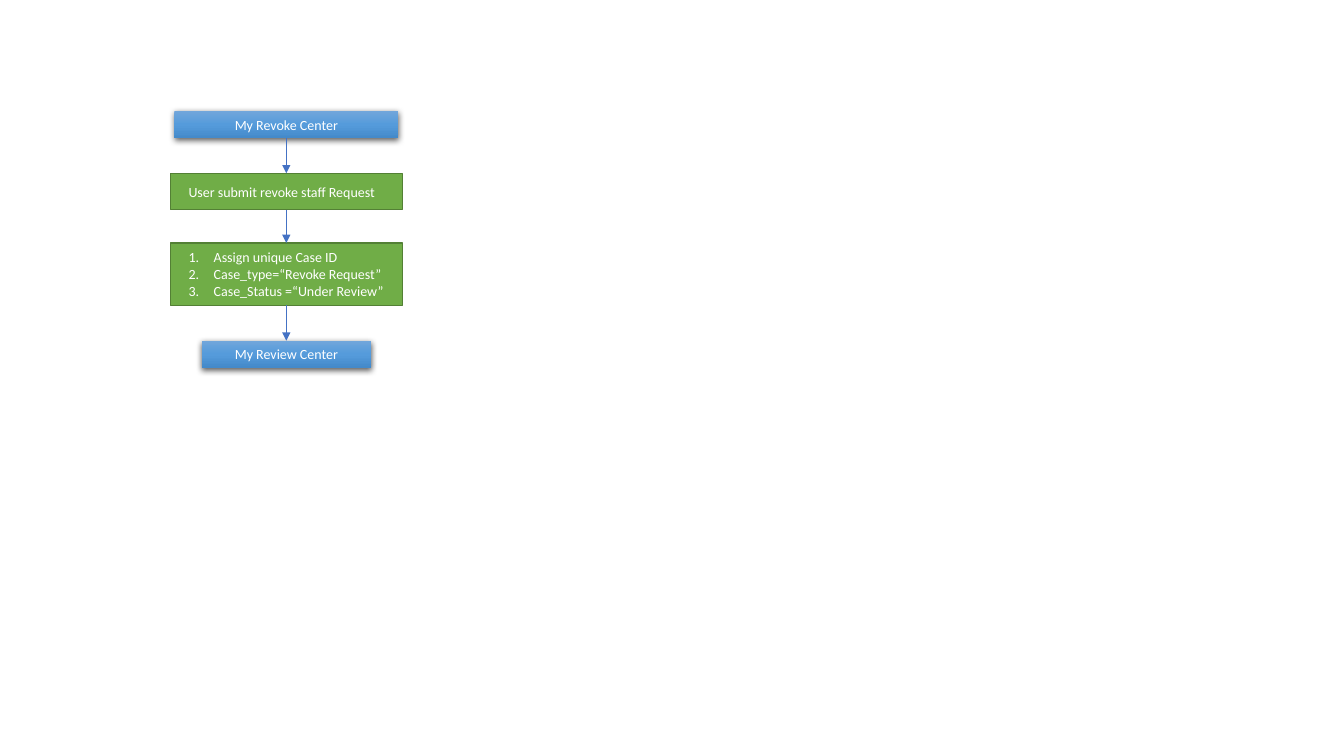
from dataclasses import dataclass

from lxml import etree
from pptx import Presentation
from pptx.dml.color import RGBColor
from pptx.enum.shapes import MSO_CONNECTOR, MSO_SHAPE
from pptx.enum.text import MSO_ANCHOR, PP_ALIGN
from pptx.oxml.ns import qn
from pptx.util import Inches, Pt


@dataclass(frozen=True)
class Theme:
    """Colours, type and line sizes of the flow chart."""
    font: str = "Calibri"
    text_size: float = 10
    text: str = "FFFFFF"
    step_fill: str = "70AD47"
    step_line: str = "538035"
    step_line_width: float = 1
    center_stops: tuple = ((0, "71A6DB"), (50, "559BDB"), (100, "448ACA"))
    shadow: str = "000000"
    arrow: str = "4472C4"
    arrow_width: float = 0.5


THEME = Theme()
SLIDE_WIDTH, SLIDE_HEIGHT = 13.33, 7.5
AXIS = 2.84  # every box is centred on this vertical line
STEP_WIDTH = 2.3
CENTER_HEIGHT = 0.27


def add_element(parent, tag, **attributes):
    """Append a DrawingML child element and return it."""
    values = {name: str(value) for name, value in attributes.items()}
    return etree.SubElement(parent, qn(tag), values)


def add_box(slide, lines, top, width, height, align=PP_ALIGN.LEFT):
    """Add a box centred on the axis, with one paragraph per line."""
    box = slide.shapes.add_shape(
        MSO_SHAPE.RECTANGLE, Inches(AXIS - width / 2), Inches(top),
        Inches(width), Inches(height))
    box.shadow.inherit = False
    frame = box.text_frame
    frame.word_wrap = True
    frame.vertical_anchor = MSO_ANCHOR.MIDDLE
    frame.margin_left = frame.margin_right = Inches(0.18)
    frame.margin_top = frame.margin_bottom = Inches(0.09)
    frame.text = "\n".join(lines)
    for paragraph in frame.paragraphs:
        paragraph.alignment = align
        font = paragraph.runs[0].font
        font.name, font.size = THEME.font, Pt(THEME.text_size)
        font.color.rgb = RGBColor.from_string(THEME.text)
    return box


def add_center(slide, name, top, width):
    """Add a centre: a box with a gradient and a soft shadow."""
    box = add_box(slide, [name], top, width, CENTER_HEIGHT, PP_ALIGN.CENTER)
    box.line.fill.background()
    box.fill.gradient()
    box.fill.gradient_angle = 270
    properties = box.element.spPr
    stops = properties.find(".//" + qn("a:gsLst"))
    stops.clear()
    for percent, color in THEME.center_stops:
        stop = add_element(stops, "a:gs", pos=percent * 1000)
        add_element(stop, "a:srgbClr", val=color)
    shadow = add_element(
        properties.find(qn("a:effectLst")), "a:outerShdw", blurRad=Pt(4.5),
        dist=Pt(1.5), dir=90 * 60000, algn="ctr", rotWithShape=0)
    color = add_element(shadow, "a:srgbClr", val=THEME.shadow)
    add_element(color, "a:alpha", val=63000)
    return box


def add_step(slide, lines, top, height):
    """Add a process step: a flat box with an outline."""
    box = add_box(slide, lines, top, STEP_WIDTH, height)
    box.fill.solid()
    box.fill.fore_color.rgb = RGBColor.from_string(THEME.step_fill)
    box.line.color.rgb = RGBColor.from_string(THEME.step_line)
    box.line.width = Pt(THEME.step_line_width)
    return box


def number_paragraphs(box):
    """Number the paragraphs of a box with a hanging indent."""
    indent = Inches(0.25)
    for paragraph in box.text_frame.paragraphs:
        properties = paragraph._p.get_or_add_pPr()
        properties.set("marL", str(indent))
        properties.set("indent", str(-indent))
        add_element(properties, "a:buFont", typeface="+mj-lt")
        add_element(properties, "a:buAutoNum", type="arabicPeriod")


def add_arrow(slide, upper, lower):
    """Link the bottom of one box to the top of the next."""
    arrow = slide.shapes.add_connector(MSO_CONNECTOR.STRAIGHT, 0, 0, 0, 0)
    arrow.begin_connect(upper, 2)
    arrow.end_connect(lower, 0)
    arrow.line.color.rgb = RGBColor.from_string(THEME.arrow)
    arrow.line.width = Pt(THEME.arrow_width)
    add_element(arrow.line._get_or_add_ln(), "a:tailEnd", type="triangle")
    add_element(arrow._element.spPr, "a:effectLst")


def main():
    """Build the revoke request flow and save it."""
    deck = Presentation()
    deck.slide_width = Inches(SLIDE_WIDTH)
    deck.slide_height = Inches(SLIDE_HEIGHT)
    slide = deck.slides.add_slide(deck.slide_layouts[6])

    revoke_center = add_center(slide, "My Revoke Center", 1.1, 2.22)
    request = add_step(slide, ["User submit revoke staff Request"], 1.72, 0.36)
    case = add_step(slide, [
        "Assign unique Case ID",
        "Case_type=“Revoke Request”",
        "Case_Status =“Under Review”",
    ], 2.41, 0.62)
    number_paragraphs(case)
    review_center = add_center(slide, "My Review Center", 3.38, 1.68)

    flow = [revoke_center, request, case, review_center]
    for upper, lower in zip(flow, flow[1:]):
        add_arrow(slide, upper, lower)
    deck.save("out.pptx")


if __name__ == "__main__":
    main()
